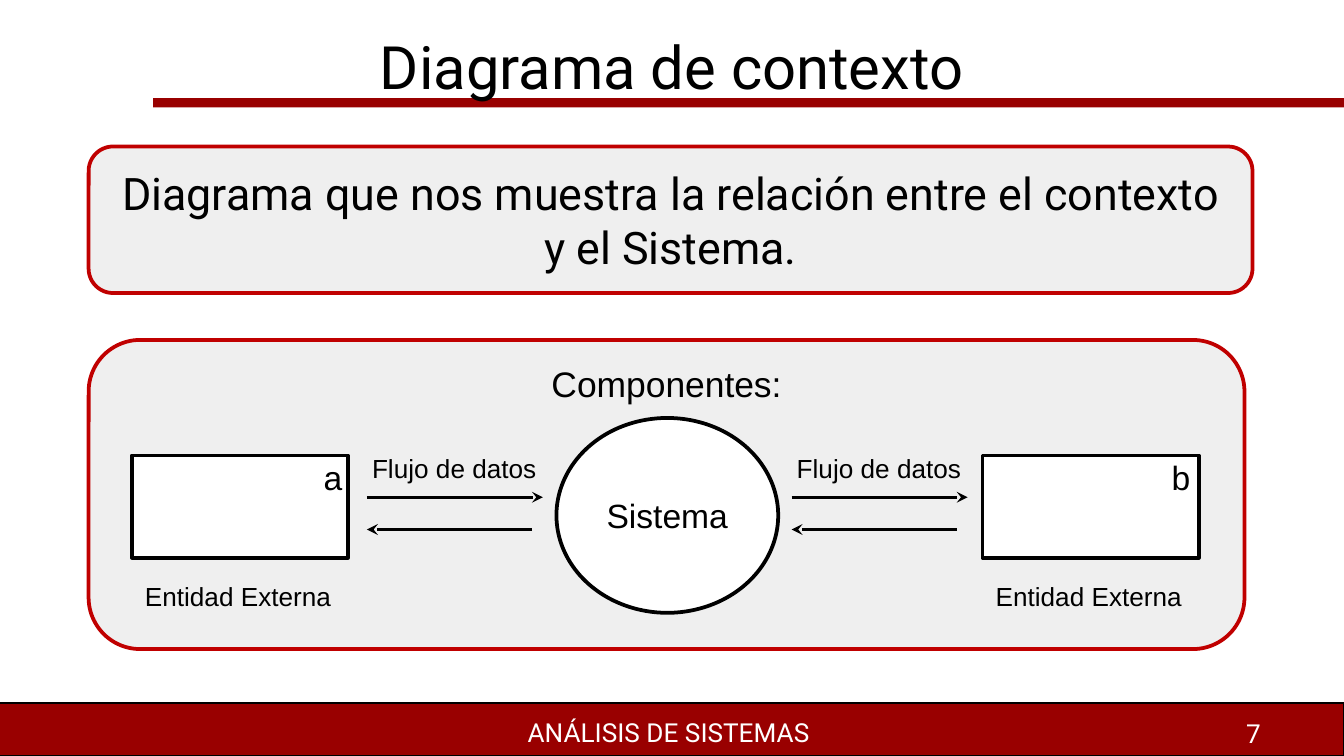
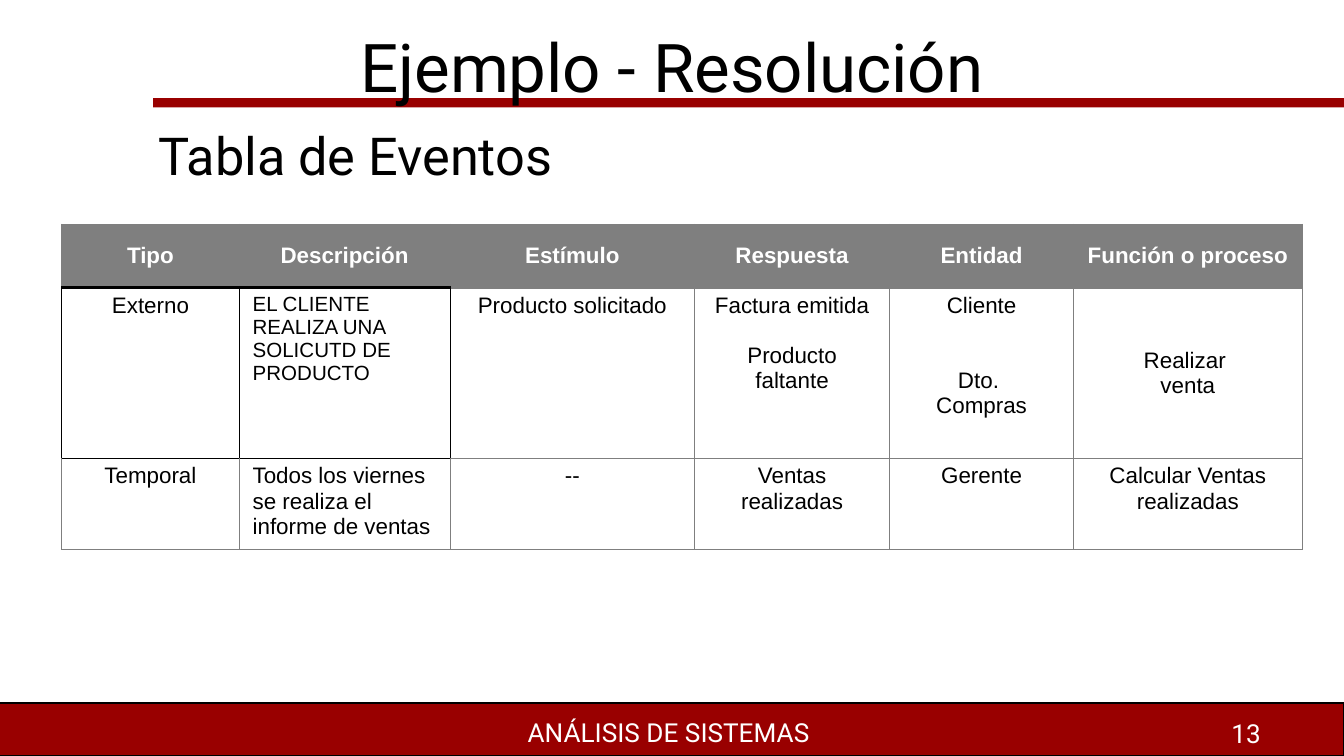
from lxml.etree import SubElement
from pptx import Presentation
from pptx.dml.color import RGBColor
from pptx.enum.shapes import MSO_CONNECTOR, MSO_SHAPE
from pptx.enum.text import MSO_ANCHOR, PP_ALIGN
from pptx.oxml.ns import qn
from pptx.util import Inches, Pt

BAND = RGBColor(0x99, 0x00, 0x00)
RED = RGBColor(0xC0, 0x00, 0x00)
LIGHT = RGBColor(0xD8, 0xD8, 0xD8)
GREY = RGBColor(0x7F, 0x7F, 0x7F)
BLACK = RGBColor(0x00, 0x00, 0x00)
WHITE = RGBColor(0xFF, 0xFF, 0xFF)
ARIAL, ROBOTO = "Arial", "Roboto"
LEFT, CENTER, RIGHT = PP_ALIGN.LEFT, PP_ALIGN.CENTER, PP_ALIGN.RIGHT
TOP, MIDDLE = MSO_ANCHOR.TOP, MSO_ANCHOR.MIDDLE


def add_text(s, text, box, size, font=ARIAL, color=BLACK, align=LEFT, anchor=TOP, sp=None):
    if sp is None:
        sp = s.shapes.add_textbox(*map(Inches, box))
    tf = sp.text_frame
    tf.word_wrap = True
    tf.vertical_anchor = anchor
    p = tf.paragraphs[0]
    p.text = text
    p.alignment = align
    p.font.size = Pt(size)
    p.font.name = font
    p.font.color.rgb = color


def add_shape(s, kind, box, fill, line=None, width=2):
    sp = s.shapes.add_shape(kind, *map(Inches, box))
    sp.shadow.inherit = False
    sp.fill.solid()
    sp.fill.fore_color.rgb = fill
    if line is None:
        sp.line.fill.background()
    else:
        sp.line.color.rgb = line
        sp.line.width = Pt(width)
    return sp


prs = Presentation()
prs.slide_width = Inches(10)
prs.slide_height = prs.slide_width * 9 // 16

slides = []
for title, size, number in [("Diagrama de contexto", 32, "7"), ("Ejemplo - Resolución", 36, "13")]:
    s = prs.slides.add_slide(prs.slide_layouts[6])
    add_shape(s, MSO_SHAPE.RECTANGLE, (-0.04, 5.23, 10.04, 0.39), BAND, BLACK, 0.75)
    add_shape(s, MSO_SHAPE.RECTANGLE, (1.14, 0.73, 8.86, 0.07), BAND)
    add_text(s, number, (7.15, 5.29, 2.33, 0.34), 14, ROBOTO, WHITE, RIGHT)
    add_text(s, "ANÁLISIS DE SISTEMAS ", (0, 5.28, 10, 0.34), 14, ROBOTO, WHITE, CENTER)
    add_text(s, title, (0, 0.23, 10, 0.52), size, ROBOTO, BLACK, CENTER, MIDDLE)
    slides.append(s)

s = slides[0]
definition = "Diagrama que nos muestra la relación entre el contexto y el Sistema."
for text, box, size, font, anchor in [
    (definition, (0.66, 1.09, 8.66, 1.09), 24, ROBOTO, MIDDLE),
    ("Componentes:", (0.66, 2.53, 8.6, 2.3), 19, ARIAL, TOP),
]:
    sp = add_shape(s, MSO_SHAPE.ROUNDED_RECTANGLE, box, LIGHT, RED)
    color = sp.fill._xPr.find(qn("a:solidFill"))[0]
    SubElement(color, qn("a:alpha"), val="40000")
    add_text(s, text, box, size, font, BLACK, CENTER, anchor, sp)

system_box = (4.14, 3.11, 1.65, 1.45)
sp = add_shape(s, MSO_SHAPE.OVAL, system_box, WHITE, BLACK)
add_text(s, "Sistema", system_box, 18, align=CENTER, anchor=MIDDLE, sp=sp)

for x, letter, letter_x in [(0.98, "a", 2.31), (7.31, "b", 8.62)]:
    add_shape(s, MSO_SHAPE.RECTANGLE, (x, 3.39, 1.61, 0.76), WHITE, BLACK)
    add_text(s, letter, (letter_x, 3.35, 0.34, 0.4), 18)
    add_text(s, "Entidad Externa", (x, 4.27, 1.6, 0.34), 14)

for x in (2.67, 5.83):
    add_text(s, "Flujo de datos", (x, 3.32, 1.43, 0.34), 14)
    for start, end, y in [(0.06, 1.37, 3.7), (1.29, 0.06, 3.94)]:
        cn = s.shapes.add_connector(
            MSO_CONNECTOR.STRAIGHT, Inches(x + start), Inches(y), Inches(x + end), Inches(y))
        cn.line.color.rgb = BLACK
        cn.line.width = Pt(1.5)
        SubElement(cn.line._get_or_add_ln(), qn("a:tailEnd"), type="stealth")
        SubElement(cn._element.spPr, qn("a:effectLst"))

s = slides[1]
add_text(s, "Tabla de Eventos", (1.08, 0.87, 8.72, 0.52), 28, ROBOTO)

events = [
    ("Tipo", "Descripción", "Estímulo", "Respuesta", "Entidad", "Función o proceso"),
    ("Externo", "EL CLIENTE REALIZA UNA SOLICUTD DE PRODUCTO", "Producto solicitado",
     "Factura emitida\nProducto faltante", "Cliente\nDto. \nCompras", "Realizar \nventa"),
    ("Temporal", "Todos los viernes se realiza el informe de ventas", "--",
     "Ventas realizadas", "Gerente", "Calcular Ventas realizadas"),
]
gaps = {"Producto faltante": 13.5, "Dto. ": 27}
col_widths = [1.32, 1.57, 1.82, 1.45, 1.37, 1.7]
row_heights = [0.47, 1.27, 0.67]

table = s.shapes.add_table(3, 6, Inches(0.46), Inches(1.67), Inches(9.24), Inches(2.42)).table
table.horz_banding = False
for column, width in zip(table.columns, col_widths):
    column.width = Inches(width)
for row, height in zip(table.rows, row_heights):
    row.height = Inches(height)

for r, texts in enumerate(events):
    for c, text in enumerate(texts):
        cell = table.cell(r, c)
        header = r == 0
        cell.margin_top = cell.margin_bottom = Inches(0.04)
        cell.vertical_anchor = MIDDLE if header or (r, c) == (1, 5) else TOP
        cell.text_frame.text = text
        for p in cell.text_frame.paragraphs:
            p.alignment = LEFT if c == 1 and not header else CENTER
            if p.text in gaps:
                p.space_before = Pt(gaps[p.text])
            p.font.size = Pt(11 if (r, c) == (1, 1) else 12)
            p.font.name = ARIAL
            p.font.bold = header
            p.font.color.rgb = WHITE if header else BLACK
        for side, dark, thick in [
            ("L", r == 1 and c < 3, False),
            ("R", r == 1 and c < 2, False),
            ("T", r > 0 and c < 2, r == 1),
            ("B", r < 2 and c < 2, header),
        ]:
            ln = SubElement(cell._tc.get_or_add_tcPr(), qn(f"a:ln{side}"), w=str(Pt(2 if thick else 0.75)))
            fill = SubElement(ln, qn("a:solidFill"))
            SubElement(fill, qn("a:srgbClr"), val=str(BLACK if dark else GREY))
        cell.fill.solid()
        cell.fill.fore_color.rgb = GREY if header else WHITE

prs.save("out.pptx")
